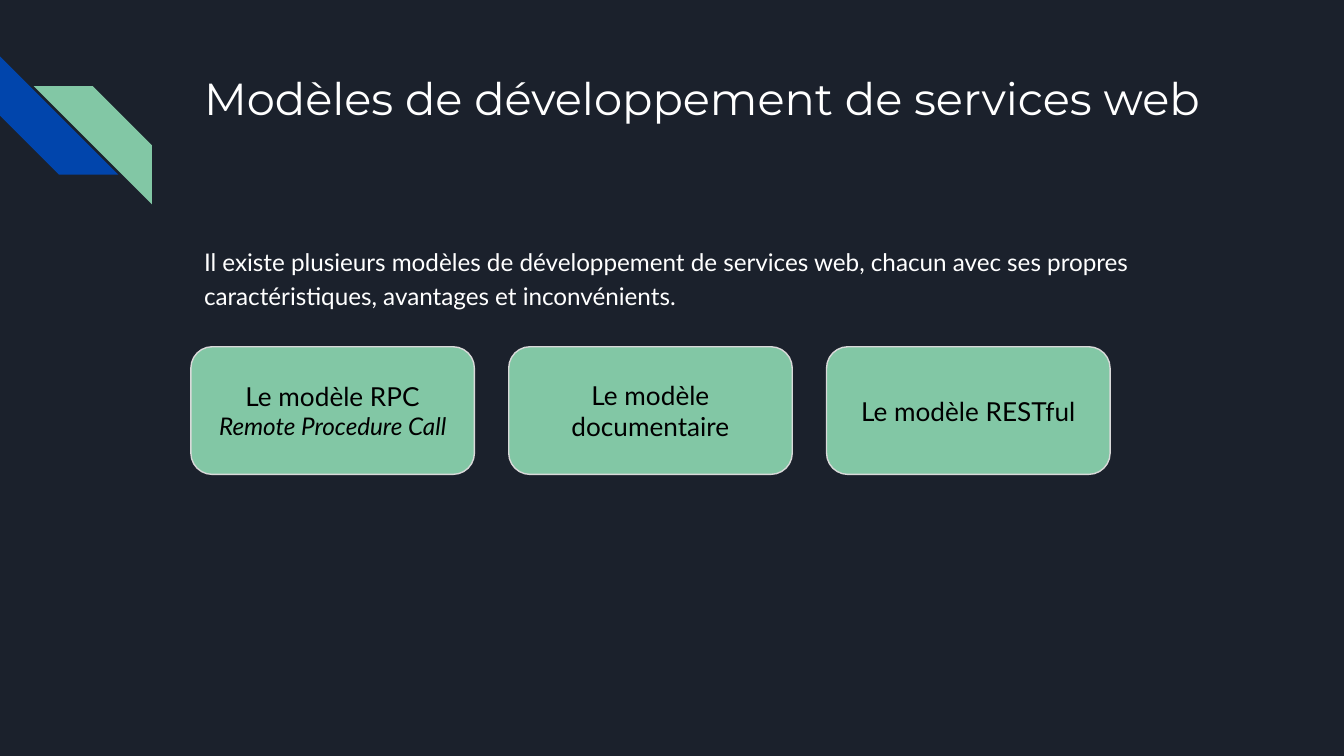
import pptx
import pptx.util
import pptx.dml.color
import pptx.enum.shapes
import pptx.enum.text

Inches = pptx.util.Inches
Pt = pptx.util.Pt
SHAPE = pptx.enum.shapes.MSO_SHAPE
ALIGN = pptx.enum.text.PP_ALIGN
ANCHOR = pptx.enum.text.MSO_ANCHOR

GREEN, BLUE, WHITE, BLACK = "82C7A5", "0145AC", "FFFFFF", "000000"


def rgb(value):
    return pptx.dml.color.RGBColor.from_string(value)


def write(sp, runs, color, font="Lato", align=ALIGN.LEFT, anchor=ANCHOR.TOP):
    """Put one paragraph in the shape for each (text, size, italic)."""
    tf = sp.text_frame
    tf.word_wrap = True
    tf.vertical_anchor = anchor
    tf.margin_left = tf.margin_right = Inches(0.1)
    tf.margin_top = tf.margin_bottom = Inches(0.1)
    for i, (text, size, italic) in enumerate(runs):
        p = tf.add_paragraph() if i else tf.paragraphs[0]
        p.alignment = align
        r = p.add_run()
        r.text = text
        r.font.name = font
        r.font.size = Pt(size)
        r.font.italic = italic
        r.font.color.rgb = rgb(color)
    return tf


# Slide in 16:9
prs = pptx.Presentation()
prs.slide_width = Inches(10)
prs.slide_height = Inches(10 * 9 / 16)
s = prs.slides.add_slide(prs.slide_layouts[6])
s.background.fill.solid()
s.background.fill.fore_color.rgb = rgb("1B212C")

# Corner stripes
for left, top, angle, color in [(0, 0.42, 270, BLUE), (0.25, 0.64, 90, GREEN)]:
    sp = s.shapes.add_shape(SHAPE.DIAGONAL_STRIPE, Inches(left), Inches(top),
                            Inches(0.88), Inches(0.88))
    sp.rotation = angle
    sp.shadow.inherit = False
    sp.fill.solid()
    sp.fill.fore_color.rgb = rgb(color)
    sp.line.fill.background()

# Title
sp = s.shapes.add_textbox(Inches(1.42), Inches(0.43), Inches(7.7), Inches(1))
write(sp, [("Modèles de développement de services web", 24, False)], WHITE, "Montserrat")

# Introduction
sp = s.shapes.add_textbox(Inches(1.42), Inches(1.71), Inches(7.7), Inches(3.18))
intro = ("Il existe plusieurs modèles de développement de services web, "
         "chacun avec ses propres caractéristiques, avantages et inconvénients.")
p = write(sp, [(intro, 13, False)], WHITE).paragraphs[0]
p.line_spacing = 1.15
p.space_after = Pt(12)

# Model cards, evenly spaced between the first and last left edges
models = [
    [("Le modèle RPC", 14, False), ("Remote Procedure Call", 13, True)],
    [("Le modèle documentaire", 14, False)],
    [("Le modèle RESTful", 14, False)],
]
first, last = 1.42, 6.15
step = (last - first) / (len(models) - 1)
for i, runs in enumerate(models):
    sp = s.shapes.add_shape(SHAPE.ROUNDED_RECTANGLE, Inches(first + i * step),
                            Inches(2.58), Inches(2.11), Inches(0.95))
    sp.shadow.inherit = False
    sp.fill.solid()
    sp.fill.fore_color.rgb = rgb(GREEN)
    sp.line.color.rgb = rgb("D9D9D9")
    sp.line.width = Pt(0.75)
    write(sp, runs, BLACK, align=ALIGN.CENTER, anchor=ANCHOR.MIDDLE)

prs.save("out.pptx")
